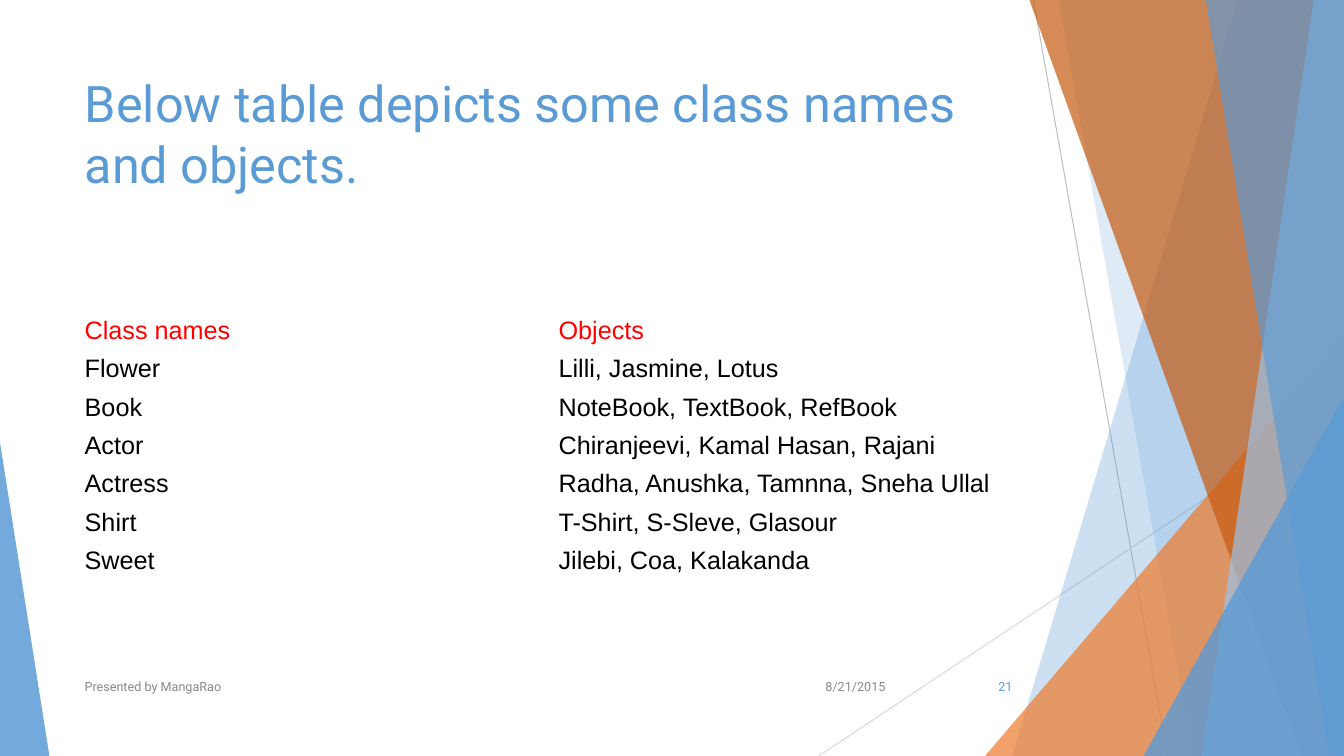
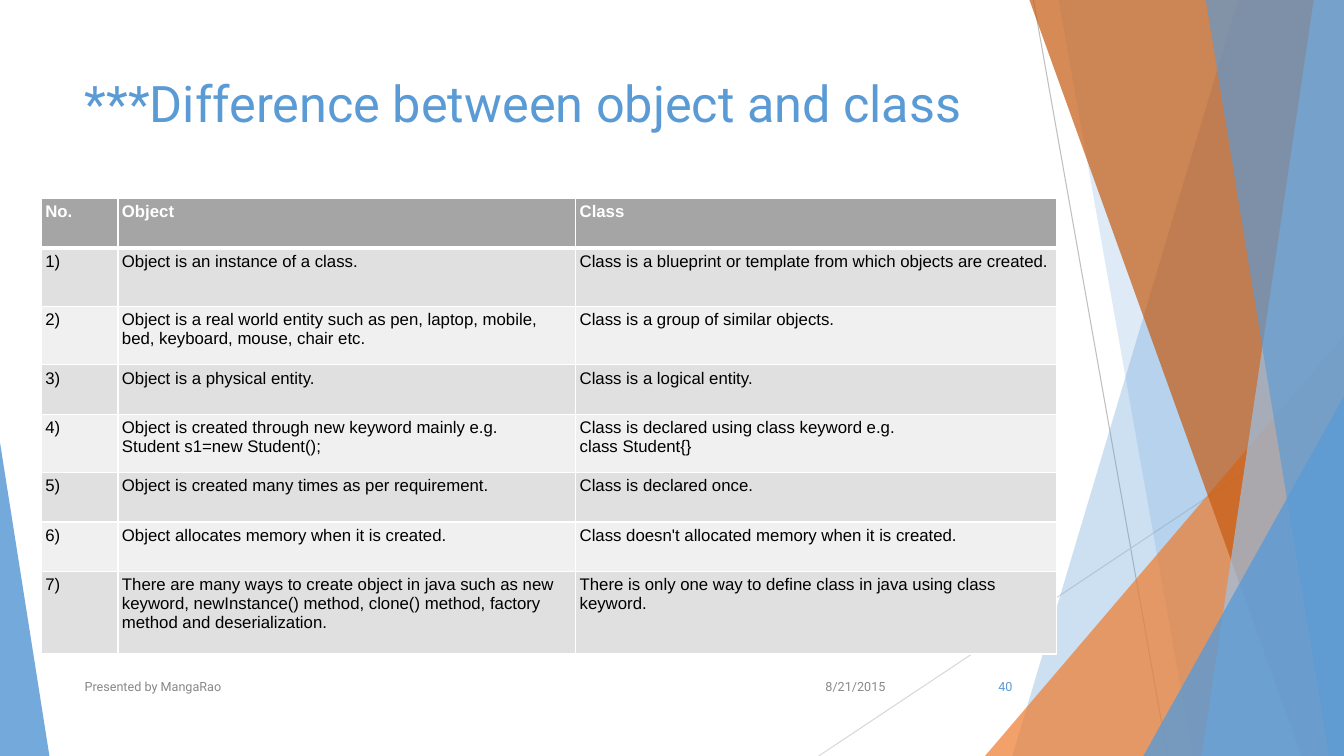
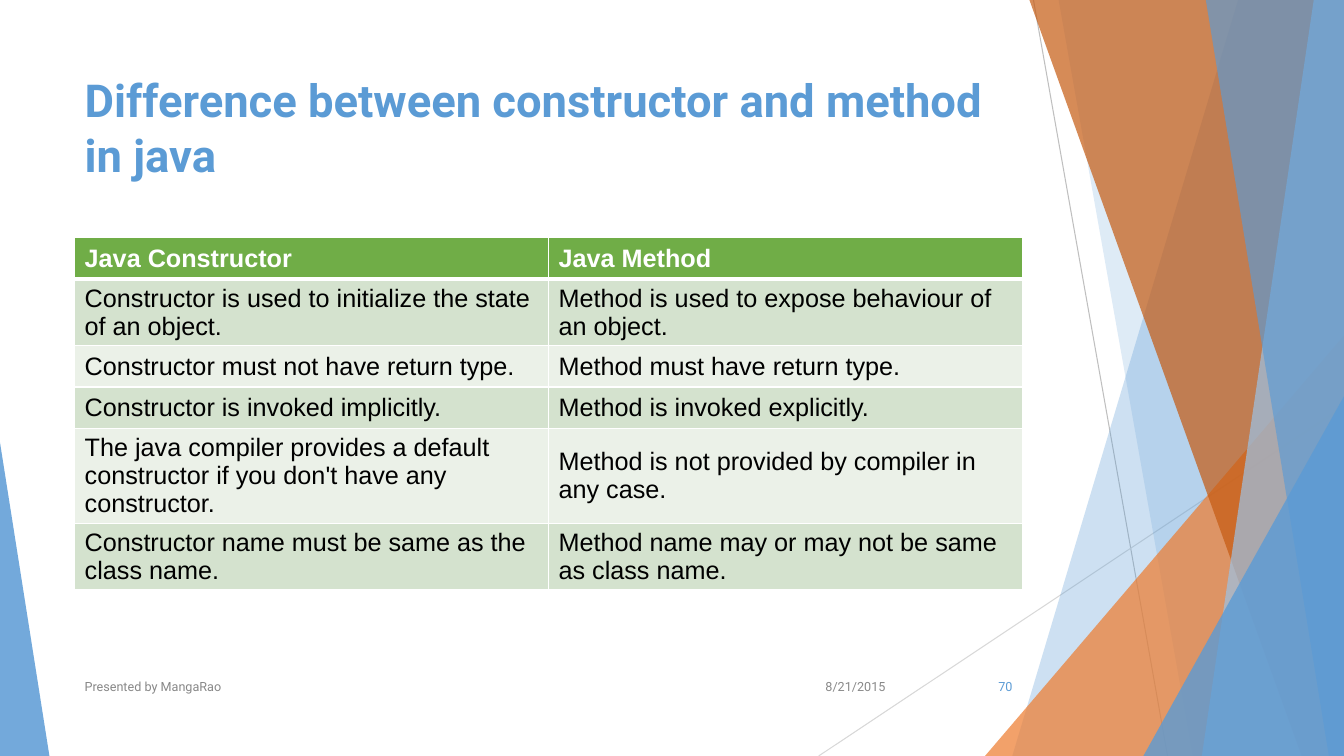
from lxml import etree
from pptx import Presentation
from pptx.dml.color import RGBColor
from pptx.enum.shapes import MSO_CONNECTOR, MSO_SHAPE
from pptx.enum.text import MSO_ANCHOR, MSO_AUTO_SIZE, PP_ALIGN
from pptx.oxml.ns import qn
from pptx.util import Inches, Pt

STRAIGHT, TRIANGLE = MSO_CONNECTOR.STRAIGHT, MSO_SHAPE.ISOSCELES_TRIANGLE
TOP, MIDDLE = MSO_ANCHOR.TOP, MSO_ANCHOR.MIDDLE
LEFT, RIGHT = PP_ALIGN.LEFT, PP_ALIGN.RIGHT
NO_AUTOFIT = MSO_AUTO_SIZE.NONE
PLAIN_TABLE = "{2D5ABB26-0587-4C30-8999-92F81FD0307C}"

WIDTH, HEIGHT = 13.33, 7.5
MARGIN, BODY_WIDTH = 0.74, 9.4
HALF = BODY_WIDTH / 2
HEADING_FONT, BODY_FONT = "Roboto", "Arial"
BLUE, ORANGE, RUST, SKY = "5B9BD5", "ED7D31", "C55A11", "9CC2E5"
GREY, WHITE, BLACK, RED = "888888", "FFFFFF", "000000", "FF0000"

RAYS = [
    ((10.25, 0), (11.58, HEIGHT), "BFBFBF"),
    ((WIDTH, 4.03), (8.12, HEIGHT), "D8D8D8"),
]
PANELS = [
    ("band", (12.28, 10.04), BLUE, 30),
    ("band", (10.5, 11.83), BLUE, 20),
    ("peak", (9.77, WIDTH, 3.33, 1), ORANGE, 72),
    ("band", (10.21, 12.91), RUST, 70),
    ("band", (13.03, 11.92), SKY, 70),
    ("band", (11.96, 13.18), BLUE, 65),
    ("peak", (11.34, WIDTH, 3.93, 1), BLUE, 80),
    ("peak", (0, 0.49, 4.39, 0), BLUE, 85),
]

FOOTER_TOP, FOOTER_HEIGHT = 6.61, 0.4
FOOTERS = [
    ("8/21/2015", 7.88, 1, RIGHT, GREY),
    ("Presented by MangaRao", MARGIN, 6.89, LEFT, GREY),
    ("{number}", 9.39, 0.75, RIGHT, BLUE),
]

SLIDES = [
    {
        "title": "Below table depicts some class names and objects.",
        "title_size": 36, "title_bold": False, "number": 21,
        "origin": (MARGIN, 3.09), "columns": [HALF, HALF], "rows": [0.38] * 7,
        "size": 18, "insets": (0.1, 0.05), "anchor": MIDDLE,
        "header": (None, RED, False), "stripes": (None, None),
        "cells": [
            ("Class names", "Objects"),
            ("Flower", "Lilli, Jasmine, Lotus"),
            ("Book", "NoteBook, TextBook, RefBook"),
            ("Actor", "Chiranjeevi, Kamal Hasan, Rajani"),
            ("Actress", "Radha, Anushka, Tamnna, Sneha Ullal"),
            ("Shirt", "T-Shirt, S-Sleve, Glasour"),
            ("Sweet", "Jilebi, Coa, Kalakanda"),
        ],
    },
    {
        "title": "***Difference between object and class",
        "title_size": 36, "title_bold": False, "number": 40,
        "origin": (0.41, 1.97), "columns": [0.76, 4.54, 4.77],
        "rows": [0.49, 0.58, 0.58, 0.49, 0.58, 0.49, 0.49, 0.82],
        "size": 12, "insets": (0.04, 0.04), "anchor": TOP,
        "header": ("A5A5A5", WHITE, True), "stripes": ("E0E0E0", "F0F0F0"),
        "cells": [
            ("No.", "Object", "Class"),
            ("1)", "Object is an instance of a class.",
             "Class is a blueprint or template from which objects are created."),
            ("2)", "Object is a real world entity such as pen, laptop, mobile, "
             "bed, keyboard, mouse, chair etc.",
             "Class is a group of similar objects."),
            ("3)", "Object is a physical entity.", "Class is a logical entity."),
            ("4)", "Object is created through new keyword mainly e.g.\n"
             "Student s1=new Student();",
             "Class is declared using class keyword e.g.\nclass Student{}"),
            ("5)", "Object is created many times as per requirement.",
             "Class is declared once."),
            ("6)", "Object allocates memory when it is created.",
             "Class doesn't allocated memory when it is created."),
            ("7)", "There are many ways to create object in java such as new "
             "keyword, newInstance() method, clone() method, factory method "
             "and deserialization.",
             "There is only one way to define class in java using class keyword."),
        ],
    },
    {
        "title": "Difference between constructor and method in java",
        "title_size": 32.4, "title_bold": True, "number": 70,
        "origin": (MARGIN, 2.36), "columns": [HALF, HALF], "rows": [0.41] * 6,
        "size": 18, "insets": (0.1, 0.05), "anchor": MIDDLE,
        "header": ("70AD47", WHITE, True), "stripes": ("D4E2CE", "EBF1E8"),
        "cells": [
            ("Java Constructor", "Java Method"),
            ("Constructor is used to initialize the state of an object.",
             "Method is used to expose behaviour of an object."),
            ("Constructor must not have return type.",
             "Method must have return type."),
            ("Constructor is invoked implicitly.",
             "Method is invoked explicitly."),
            ("The java compiler provides a default constructor if you don't "
             "have any constructor.",
             "Method is not provided by compiler in any case."),
            ("Constructor name must be same as the class name.",
             "Method name may or may not be same as class name."),
        ],
    },
]


def paint(fill, colour, opacity=100):
    fill.solid()
    fill.fore_color.rgb = RGBColor.from_string(colour)
    if opacity < 100:
        tint = fill._xPr.find(qn("a:solidFill"))[0]
        etree.SubElement(tint, qn("a:alpha")).set("val", str(opacity * 1000))


def write(frame, text, font, size, colour, bold=False, align=LEFT):
    frame.text = text
    for paragraph in frame.paragraphs:
        paragraph.alignment = align
        for run in paragraph.runs:
            run.font.name = font
            run.font.size = Pt(size)
            run.font.bold = bold
            run.font.color.rgb = RGBColor.from_string(colour)


def place(part, left, top, width, height):
    part.left, part.top = Inches(left), Inches(top)
    part.width, part.height = Inches(width), Inches(height)


def draw_ray(shapes, start, end, colour):
    ray = shapes.add_connector(STRAIGHT, *map(Inches, start + end))
    ray.line.color.rgb = RGBColor.from_string(colour)
    ray.line.width = Pt(0.75)
    etree.SubElement(ray._element.spPr, qn("a:effectLst"))
    return ray


def draw_panel(shapes, kind, geometry, colour, opacity):
    if kind == "band":
        top_x, bottom_x = geometry
        corners = [(WIDTH, 0), (WIDTH, HEIGHT), (bottom_x, HEIGHT)]
        outline = shapes.build_freeform(Inches(top_x), 0)
        outline.add_line_segments([(Inches(x), Inches(y)) for x, y in corners])
        panel = outline.convert_to_shape()
    else:
        left, right, top, tip = geometry
        box = (left, top, right - left, HEIGHT - top)
        panel = shapes.add_shape(TRIANGLE, *map(Inches, box))
        panel.adjustments[0] = tip
    panel.shadow.inherit = False
    panel.line.fill.background()
    paint(panel.fill, colour, opacity)
    return panel


def decorate(layout, slide):
    decor = [draw_ray(slide.shapes, *ray) for ray in RAYS]
    decor += [draw_panel(slide.shapes, *panel) for panel in PANELS]
    for number, part in enumerate(decor, 100):
        part._element.xpath(".//p:cNvPr")[0].set("id", str(number))
        layout.shapes._spTree.append(part._element)


def add_title(slide, content):
    title = slide.shapes.title
    place(title, MARGIN, 0.67, BODY_WIDTH, 1.44)
    frame = title.text_frame
    frame.word_wrap = True
    frame.auto_size = NO_AUTOFIT
    frame.vertical_anchor = TOP
    write(frame, content["title"], HEADING_FONT, content["title_size"], BLUE,
          content["title_bold"])


def add_footers(slide, number):
    for text, left, width, align, colour in FOOTERS:
        box = (left, FOOTER_TOP, width, FOOTER_HEIGHT)
        frame = slide.shapes.add_textbox(*map(Inches, box)).text_frame
        frame.word_wrap = True
        frame.vertical_anchor = MIDDLE
        write(frame, text.format(number=number), HEADING_FONT, 9, colour,
              align=align)


def add_borders(cell, row):
    thick_side = {0: "lnB", 1: "lnT"}.get(row)
    for side in ("lnL", "lnR", "lnT", "lnB"):
        edge = etree.SubElement(cell._tc.get_or_add_tcPr(), qn("a:" + side))
        edge.set("w", str(Pt(3 if side == thick_side else 1)))
        fill = etree.SubElement(edge, qn("a:solidFill"))
        etree.SubElement(fill, qn("a:srgbClr")).set("val", WHITE)


def add_grid(slide, content):
    columns, rows, cells = content["columns"], content["rows"], content["cells"]
    box = (*content["origin"], sum(columns), sum(rows))
    grid = slide.shapes.add_table(len(rows), len(columns),
                                  *map(Inches, box)).table
    grid._tbl.tblPr.find(qn("a:tableStyleId")).text = PLAIN_TABLE
    grid.horz_banding = False
    for column, width in zip(grid.columns, columns):
        column.width = Inches(width)
    side, end = map(Inches, content["insets"])
    for r, texts in enumerate(cells):
        grid.rows[r].height = Inches(rows[r])
        background, colour, bold = content["header"]
        if r:
            background, colour, bold = content["stripes"][(r - 1) % 2], BLACK, False
        for c, text in enumerate(texts):
            cell = grid.cell(r, c)
            cell.margin_left = cell.margin_right = side
            cell.margin_top = cell.margin_bottom = end
            cell.vertical_anchor = content["anchor"]
            if background:
                add_borders(cell, r)
                paint(cell.fill, background)
            write(cell.text_frame, text, BODY_FONT, content["size"], colour, bold)


def main():
    deck = Presentation()
    deck.slide_width, deck.slide_height = Inches(WIDTH), Inches(HEIGHT)
    layout = deck.slide_layouts[5]
    for index, content in enumerate(SLIDES):
        slide = deck.slides.add_slide(layout)
        if index == 0:
            decorate(layout, slide)
        add_title(slide, content)
        add_grid(slide, content)
        add_footers(slide, content["number"])
    deck.save("out.pptx")


if __name__ == "__main__":
    main()
